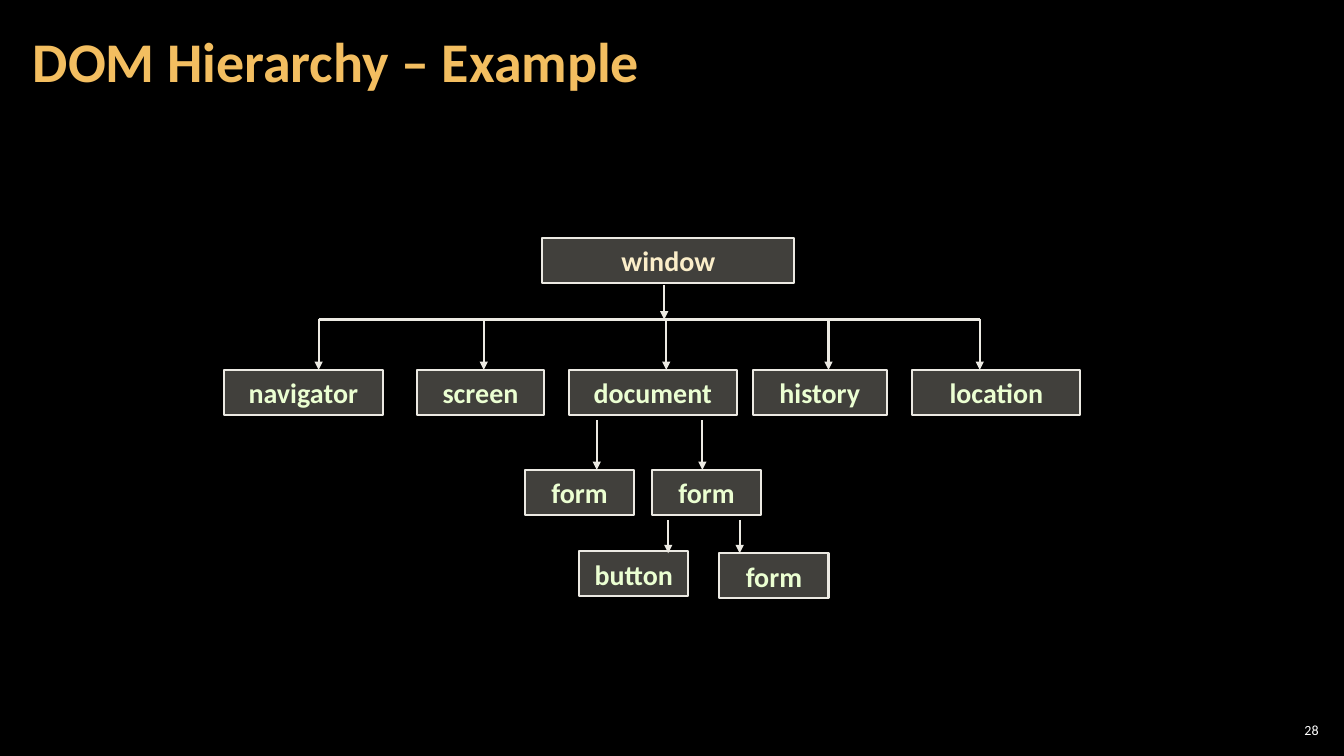
"""Build a slide with a tree of the browser object hierarchy."""
from lxml.etree import SubElement
from pptx import Presentation
from pptx.dml.color import RGBColor
from pptx.enum.shapes import MSO_CONNECTOR as Connector, MSO_SHAPE as Shape
from pptx.enum.text import MSO_ANCHOR as Anchor, PP_ALIGN as Align
from pptx.oxml.ns import qn
from pptx.util import Cm, Pt


def paint(color_format, color):
    color_format.rgb = RGBColor.from_string(color)


def write(shape, text, size, color, align, bold, side_inset, edge_inset):
    frame = shape.text_frame
    frame.word_wrap = True
    frame.vertical_anchor = Anchor.MIDDLE
    frame.margin_left = frame.margin_right = Cm(side_inset)
    frame.margin_top = frame.margin_bottom = Cm(edge_inset)
    paragraph = frame.paragraphs[0]
    paragraph.text = text
    paragraph.alignment = align
    paragraph.font.name = "Calibri"
    paragraph.font.size = Pt(size)
    paragraph.font.bold = bold
    paint(paragraph.font.color, color)
    return paragraph


LINE = "ECEAE3"
LEAF_TEXT = "EBFFD2"
BOX_HEIGHT = 1.14
BUS_TOP = 8.05
OBJECTS_TOP = 9.32
FORMS_TOP = 11.84
CONTROLS_TOP = 13.94

presentation = Presentation()
presentation.slide_width = Cm(33.87)
presentation.slide_height = Cm(19.05)
slide = presentation.slides.add_slide(presentation.slide_layouts[6])
slide.background.fill.solid()
paint(slide.background.fill.fore_color, "000000")

number = slide.shapes.add_textbox(Cm(32.13), Cm(18.14), Cm(1.2), Cm(0.53))
write(number, "28", 10, "FFFFFF", Align.RIGHT, False, 0.1, 0.1)

title = slide.shapes.add_textbox(Cm(0.53), Cm(0.1), Cm(26.6), Cm(3.07))
heading = write(title, "DOM Hierarchy – Example", 40, "F3BE60", Align.LEFT, True, 0.3, 0.1)
heading.line_spacing = 0.9

boxes = [
    ("window", 13.67, 5.99, 6.35, "FBEEC9"),
    ("navigator", 5.64, OBJECTS_TOP, 4.01, LEAF_TEXT),
    ("screen", 10.52, OBJECTS_TOP, 3.18, LEAF_TEXT),
    ("document", 14.33, OBJECTS_TOP, 4.24, LEAF_TEXT),
    ("history", 18.97, OBJECTS_TOP, 3.38, LEAF_TEXT),
    ("location", 22.99, OBJECTS_TOP, 4.24, LEAF_TEXT),
    ("form", 13.23, FORMS_TOP, 2.75, LEAF_TEXT),
    ("form", 16.43, FORMS_TOP, 2.75, LEAF_TEXT),
    ("button", 14.6, 13.89, 2.75, LEAF_TEXT),
    ("form", 18.13, CONTROLS_TOP, 2.75, LEAF_TEXT),
]
for name, left, top, width, color in boxes:
    box = slide.shapes.add_shape(Shape.RECTANGLE, Cm(left), Cm(top), Cm(width), Cm(BOX_HEIGHT))
    box.shadow.inherit = False
    box.fill.solid()
    paint(box.fill.fore_color, "D9D5C7")
    fill_color = box.fill._xPr.find(qn("a:solidFill"))[0]
    SubElement(fill_color, qn("a:alpha"), val="30000")
    paint(box.line.color, LINE)
    box.line.width = Pt(1.5)
    write(box, name, 20, color, Align.CENTER, True, 0.25, 0.13)

bus_drops = [8.03, 12.19, 16.79, 20.88, 24.69]
lines = [(bus_drops[0], BUS_TOP, bus_drops[-1], BUS_TOP, False)]
arrow_rows = [
    ([16.74], 7.19, BUS_TOP),
    (bus_drops, BUS_TOP, OBJECTS_TOP),
    ([15.04, 17.7], 10.59, FORMS_TOP),
    ([16.84, 18.64], 13.11, CONTROLS_TOP),
]
for columns, top, bottom in arrow_rows:
    lines += [(x, top, x, bottom, True) for x in columns]

for start_x, start_y, end_x, end_y, has_arrow in lines:
    connector = slide.shapes.add_connector(
        Connector.STRAIGHT, Cm(start_x), Cm(start_y), Cm(end_x), Cm(end_y))
    paint(connector.line.color, LINE)
    connector.line.width = Pt(1.5)
    if has_arrow:
        SubElement(connector.line._get_or_add_ln(), qn("a:tailEnd"), type="triangle")
    SubElement(connector._element.spPr, qn("a:effectLst"))

presentation.save("out.pptx")
